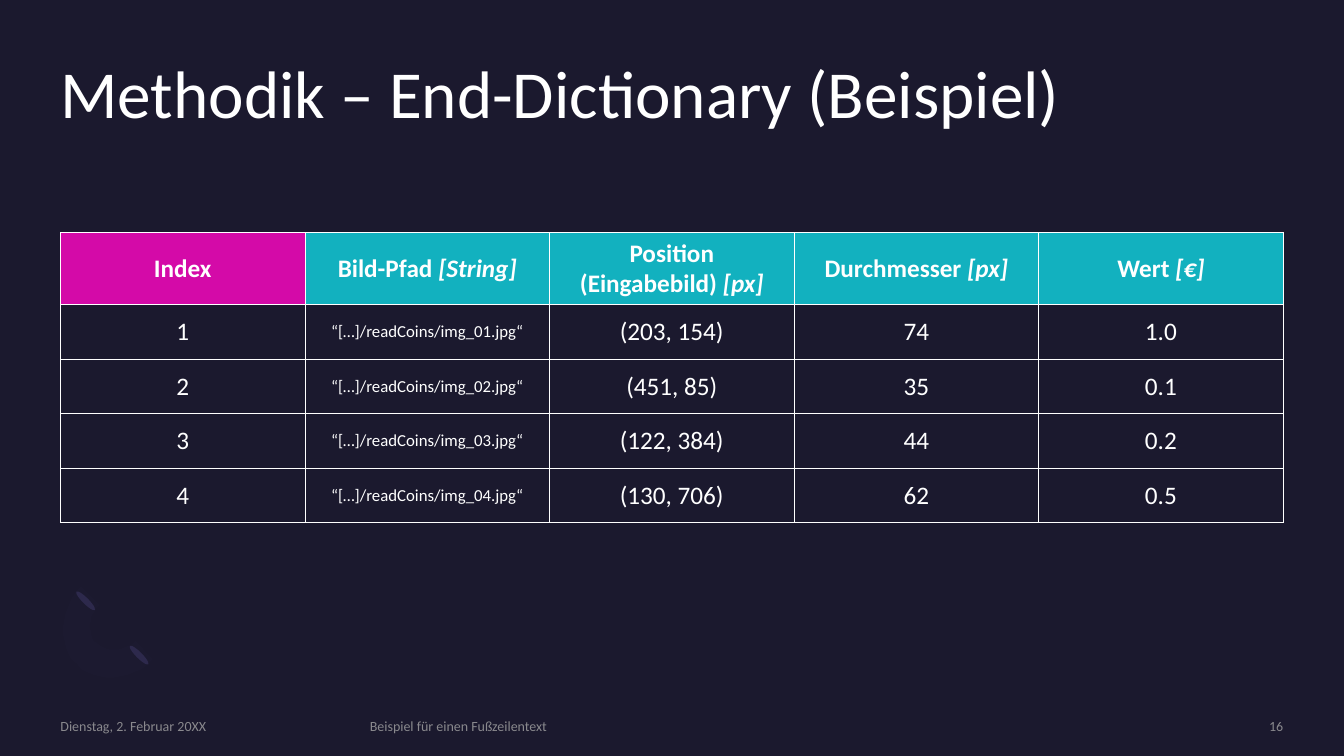
from lxml import etree
from pptx import Presentation
from pptx.dml.color import RGBColor
from pptx.enum.shapes import MSO_SHAPE
from pptx.enum.text import MSO_ANCHOR, PP_ALIGN
from pptx.oxml.ns import qn
from pptx.util import Pt

LEFT, CENTER, RIGHT = PP_ALIGN.LEFT, PP_ALIGN.CENTER, PP_ALIGN.RIGHT
TOP, MIDDLE = MSO_ANCHOR.TOP, MSO_ANCHOR.MIDDLE

NAVY = RGBColor(0x1B, 0x19, 0x2E)
INDIGO = RGBColor(0x2C, 0x28, 0x4A)
LILAC = RGBColor(0x77, 0x71, 0xB2)
WHITE = RGBColor(0xFF, 0xFF, 0xFF)
GRAY = RGBColor(0xA6, 0xA6, 0xA6)
MAGENTA = RGBColor(0xD4, 0x0A, 0xA8)
TEAL = RGBColor(0x12, 0xB1, 0xBF)
FONT = "Calibri"

TITLE = "Methodik – End-Dictionary (Beispiel)"
HEADER = [  # name, unit
    ("Index", ""),
    ("Bild-Pfad ", "[String]"),
    ("Position (Eingabebild) ", "[px]"),
    ("Durchmesser ", "[px]"),
    ("Wert ", "[€]"),
]
COINS = [
    ("1", "“[…]/readCoins/img_01.jpg“", "(203, 154)", "74", "1.0"),
    ("2", "“[…]/readCoins/img_02.jpg“", "(451, 85)", "35", "0.1"),
    ("3", "“[…]/readCoins/img_03.jpg“", "(122, 384)", "44", "0.2"),
    ("4", "“[…]/readCoins/img_04.jpg“", "(130, 706)", "62", "0.5"),
]
PATH_COL = 1
FOOTER = [  # text, left, width, alignment
    ("Dienstag, 2. Februar 20XX", 43.2, 207.4, LEFT),
    ("Beispiel für einen Fußzeilentext", 264.2, 502.6, LEFT),
    ("16", 783.4, 133.2, RIGHT),
]
MARGIN, WIDTH = 43.2, 873.4
HEADER_H, ROW_H = 51.4, 38.9

RING_ENDS = [(97.2, 458.6), (59, 419.8)]
RING_START = (54.7, 474.5)
RING = [  # one point for a line, three for a Bézier curve
    [(40.3, 460.1), (41.8, 435.6), (58.3, 419)],
    [(71.3, 432)],
    [(62.6, 439.9), (61.9, 452.9), (69.1, 459.4)],
    [(76.3, 466.6), (88.6, 465.8), (97.2, 457.9)],
    [(109.4, 470.9)],
    [(93.6, 486.7), (68.4, 488.9), (54.7, 474.5)],
]


def set_font(p, size, color=WHITE, bold=False):
    p.font.name, p.font.size, p.font.bold = FONT, Pt(size), bold
    p.font.color.rgb = color


def set_alpha(element, percent):
    for clr in element.iter(qn("a:srgbClr")):
        etree.SubElement(clr, qn("a:alpha"), val=str(percent * 1000))


def clear_margins(tf):
    tf.margin_left = tf.margin_right = tf.margin_top = tf.margin_bottom = 0
    tf.word_wrap = True


def style_shape(shape, color):
    shape.shadow.inherit = False
    shape.fill.solid()
    shape.fill.fore_color.rgb = color
    shape.line.fill.background()


def add_borders(cell):
    tcPr = cell._tc.get_or_add_tcPr()
    for i, side in enumerate(("lnL", "lnR", "lnT", "lnB")):
        ln = etree.Element(qn(f"a:{side}"), w=str(Pt(0.75)))
        fill = etree.SubElement(ln, qn("a:solidFill"))
        etree.SubElement(fill, qn("a:srgbClr"), val=str(WHITE))
        tcPr.insert(i, ln)


def fill_cell(cell, text, size, unit="", color=None):
    cell.vertical_anchor = MIDDLE
    p = cell.text_frame.paragraphs[0]
    p.alignment = CENTER
    set_font(p, size, bold=color is not None)
    p.add_run().text = text
    if unit:
        r = p.add_run()
        r.text = unit
        r.font.italic = True
    if color is None:
        cell.fill.background()
    else:
        cell.fill.solid()
        cell.fill.fore_color.rgb = color
    add_borders(cell)


def curve_points(start, controls, steps=12):
    """Points along a cubic Bézier curve, without its start."""
    knots = [start, *controls]
    for k in range(1, steps + 1):
        t = k / steps
        weights = ((1 - t) ** 3, 3 * t * (1 - t) ** 2, 3 * t * t * (1 - t), t ** 3)
        yield tuple(sum(w * q[axis] for w, q in zip(weights, knots)) for axis in (0, 1))


def add_ring(s):
    for x, y in RING_ENDS:
        end = s.shapes.add_shape(MSO_SHAPE.OVAL, Pt(x), Pt(y), Pt(4.3), Pt(18.7))
        end.rotation = 135
        style_shape(end, INDIGO)
    points = [RING_START]
    for segment in RING:
        points += segment if len(segment) == 1 else curve_points(points[-1], segment)
    builder = s.shapes.build_freeform(*RING_START, scale=Pt(1))
    builder.add_line_segments(points[1:], close=True)
    ring = builder.convert_to_shape()
    style_shape(ring, LILAC)
    set_alpha(ring.fill._xPr, 2)


def add_title(s):
    title = s.shapes.title
    title.left, title.top, title.width, title.height = Pt(MARGIN), Pt(43.2), Pt(WIDTH), Pt(105.1)
    tf = title.text_frame
    clear_margins(tf)
    tf.vertical_anchor = TOP
    tf.text = TITLE
    p = tf.paragraphs[0]
    p.alignment, p.line_spacing = LEFT, 0.9
    set_font(p, 48)


def add_coin_table(s):
    table = s.shapes.add_table(
        len(COINS) + 1, len(HEADER), Pt(MARGIN), Pt(166.3),
        Pt(WIDTH), Pt(HEADER_H + ROW_H * len(COINS))).table
    table.first_row = table.horz_banding = False
    for col in table.columns:
        col.width = Pt(WIDTH / len(HEADER))
    for i, row in enumerate(table.rows):
        row.height = Pt(ROW_H if i else HEADER_H)
    for j, (name, unit) in enumerate(HEADER):
        fill_cell(table.cell(0, j), name, 18, unit, TEAL if j else MAGENTA)
    for i, coin in enumerate(COINS, 1):
        for j, value in enumerate(coin):
            fill_cell(table.cell(i, j), value, 12 if j == PATH_COL else 18)


def add_footer(s):
    for text, left, width, align in FOOTER:
        tf = s.shapes.add_textbox(Pt(left), Pt(512.6), Pt(width), Pt(12.2)).text_frame
        clear_margins(tf)
        tf.vertical_anchor = MIDDLE
        p = tf.paragraphs[0]
        p.text, p.alignment = text, align
        set_font(p, 10, GRAY)
        set_alpha(p._p, 80)


def main():
    prs = Presentation()
    prs.slide_width, prs.slide_height = Pt(960), Pt(540)
    s = prs.slides.add_slide(prs.slide_layouts[5])
    s.background.fill.solid()
    s.background.fill.fore_color.rgb = NAVY
    add_ring(s)
    add_title(s)
    add_coin_table(s)
    add_footer(s)
    prs.save("out.pptx")


if __name__ == "__main__":
    main()
